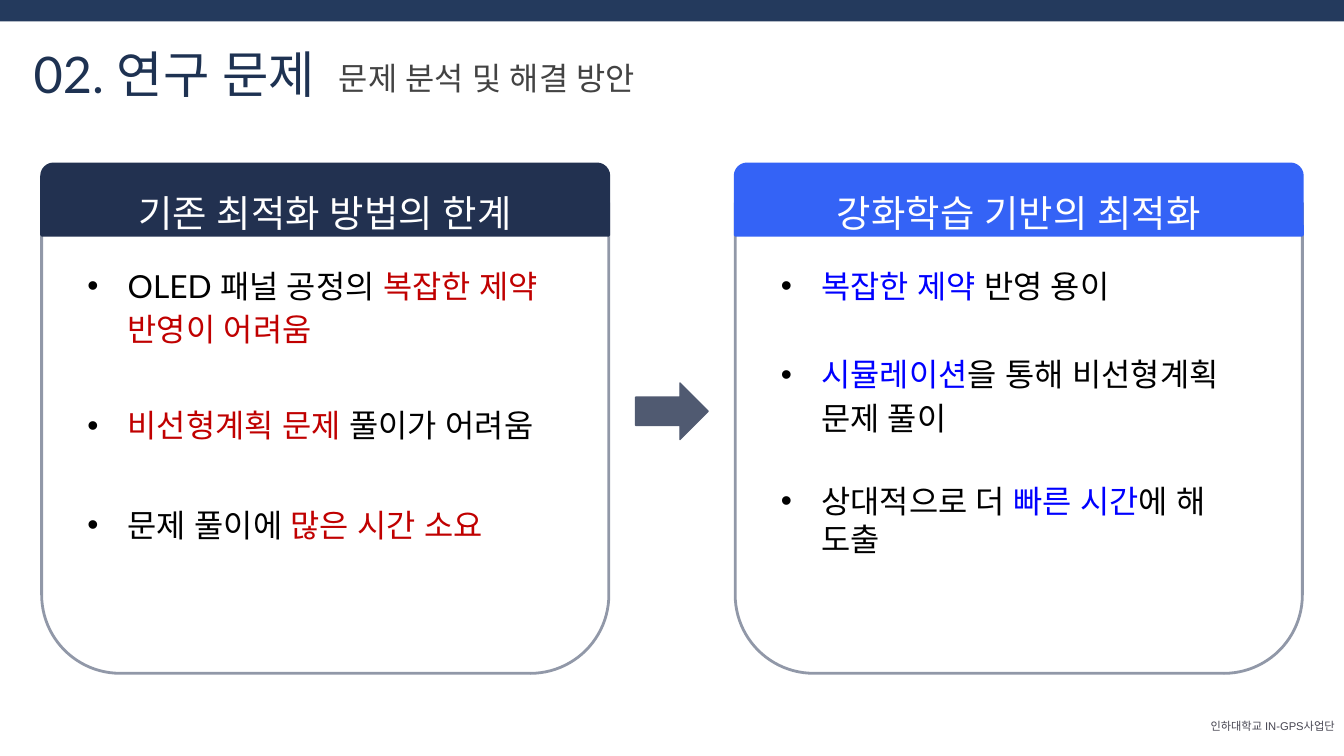
from lxml.etree import SubElement
from pptx import Presentation
from pptx.dml.color import RGBColor
from pptx.enum.shapes import MSO_SHAPE
from pptx.enum.text import MSO_ANCHOR, PP_ALIGN
from pptx.oxml.ns import qn
from pptx.util import Inches, Pt

WIDTH = 10
HEIGHT = WIDTH * 9 / 16
CARD_W, CARD_TOP, CARD_H = 4.22, 1.51, 3.5
HEADER_TOP, HEADER_H = 1.22, 0.53
LEFT_X = 0.31
RIGHT_X = WIDTH - LEFT_X - CARD_W
TEXT_MARGIN, TEXT_TOP = 0.19, 1.87
NAVY, BLUE, RED, BRIGHT, BLACK = "223150", "3463F6", "C00000", "0000FF", "000000"

# Each bullet: line spacing, space before, runs of (text, colour)
LIMITS = [
    (1.15, 0, [("OLED 패널 공정의", BLACK), (" 복잡한 제약 반영이 어려움", RED)]),
    (1.15, 28, [("비선형계획 문제 ", RED), ("풀이가 어려움", BLACK)]),
    (1.15, 30, [("문제 풀이에 ", BLACK), ("많은 시간 소요", RED)]),
]
BENEFITS = [
    (1.15, 0, [("복잡한 제약", BRIGHT), (" 반영 용이", BLACK)]),
    (1.15, 24, [("시뮬레이션", BRIGHT), ("을 통해 비선형계획 문제 풀이", BLACK)]),
    (1.0, 24, [("상대적으로 더 ", BLACK), ("빠른 시간", BRIGHT), ("에 해 도출", BLACK)]),
]


def rgb(color):
    return RGBColor.from_string(color)


def set_frame(tf, top=0.07, anchor=MSO_ANCHOR.TOP):
    tf.word_wrap = True
    tf.vertical_anchor = anchor
    tf.margin_left = tf.margin_right = Inches(0.07)
    tf.margin_top = tf.margin_bottom = Inches(top)


def add_run(p, text, size, color, font="Lato"):
    r = p.add_run()
    r.text = text
    r.font.size = Pt(size)
    r.font.color.rgb = rgb(color)
    r.font.name = font
    for script in ("a:ea", "a:cs"):
        SubElement(r.font._element, qn(script), typeface=font)


def add_box(s, x, y, w, h, top=0.07):
    box = s.shapes.add_textbox(Inches(x), Inches(y), Inches(w), Inches(h))
    set_frame(box.text_frame, top)
    return box.text_frame


def add_shape(s, kind, x, y, w, h, fill=None, line=None, line_width=1.5):
    sp = s.shapes.add_shape(kind, Inches(x), Inches(y), Inches(w), Inches(h))
    sp.shadow.inherit = False
    if fill:
        sp.fill.solid()
        sp.fill.fore_color.rgb = rgb(fill)
    else:
        sp.fill.background()
    if line:
        sp.line.color.rgb = rgb(line)
        sp.line.width = Pt(line_width)
    else:
        sp.line.fill.background()
    return sp


def set_bullet(p):
    """Give the paragraph a black bullet with a hanging indent."""
    pPr = p._p.get_or_add_pPr()
    pPr.set("marL", str(Inches(0.38)))
    pPr.set("indent", str(Inches(-0.3)))
    color = SubElement(pPr, qn("a:buClr"))
    SubElement(color, qn("a:srgbClr"), val=BLACK)
    SubElement(pPr, qn("a:buFont"), typeface="Arial")
    SubElement(pPr, qn("a:buChar"), char="•")


def add_bullets(s, x, bullets):
    tf = add_box(s, x + TEXT_MARGIN, TEXT_TOP, CARD_W - 2 * TEXT_MARGIN, 2.6)
    for i, (spacing, before, runs) in enumerate(bullets):
        p = tf.add_paragraph() if i else tf.paragraphs[0]
        p.line_spacing = spacing
        p.space_before = Pt(before)
        set_bullet(p)
        for text, color in runs:
            add_run(p, text, 17, color)


def add_card(s, x, heading, color, bullets):
    body = add_shape(s, MSO_SHAPE.ROUND_2_SAME_RECTANGLE, x, CARD_TOP,
                     CARD_W, CARD_H, line="9198A8")
    body.rotation = 180
    add_bullets(s, x, bullets)
    header = add_shape(s, MSO_SHAPE.ROUND_2_SAME_RECTANGLE, x, HEADER_TOP,
                       CARD_W, HEADER_H, color, color)
    set_frame(header.text_frame, anchor=MSO_ANCHOR.MIDDLE)
    p = header.text_frame.paragraphs[0]
    p.alignment = PP_ALIGN.CENTER
    p.line_spacing = 1.5
    add_run(p, heading, 20, "FFFFFF")


def add_title(s):
    title = s.shapes.title
    title.left, title.top = Inches(0.18), Inches(0.28)
    title.width, title.height = Inches(3.2), Inches(0.53)
    set_frame(title.text_frame, 0.04)
    p = title.text_frame.paragraphs[0]
    p.alignment = PP_ALIGN.LEFT
    add_run(p, "02. 연구 문제", 27, "1E3252")
    subtitle = add_box(s, 2.45, 0.37, 3.12, 0.44)
    add_run(subtitle.paragraphs[0], "문제 분석 및 해결 방안", 17, "434343")


def add_footer(s):
    p = add_box(s, WIDTH - 1.12, 5.31, 1.12, 0.28, 0.04).paragraphs[0]
    p.alignment = PP_ALIGN.RIGHT
    add_run(p, "인하대학교 IN-GPS사업단", 6, "474652", "Arial")


def main():
    prs = Presentation()
    prs.slide_width, prs.slide_height = Inches(WIDTH), Inches(HEIGHT)
    s = prs.slides.add_slide(prs.slide_layouts[5])
    add_shape(s, MSO_SHAPE.RECTANGLE, 0, 0, WIDTH, 0.16, "243A5D")
    add_title(s)
    add_card(s, LEFT_X, "기존 최적화 방법의 한계", NAVY, LIMITS)
    add_card(s, RIGHT_X, "강화학습 기반의 최적화", BLUE, BENEFITS)
    add_shape(s, MSO_SHAPE.RIGHT_ARROW, WIDTH / 2 - 0.27, 2.85, 0.54, 0.42,
              "505A71", "505A71", 0.75)
    add_footer(s)
    prs.save("out.pptx")


if __name__ == "__main__":
    main()
